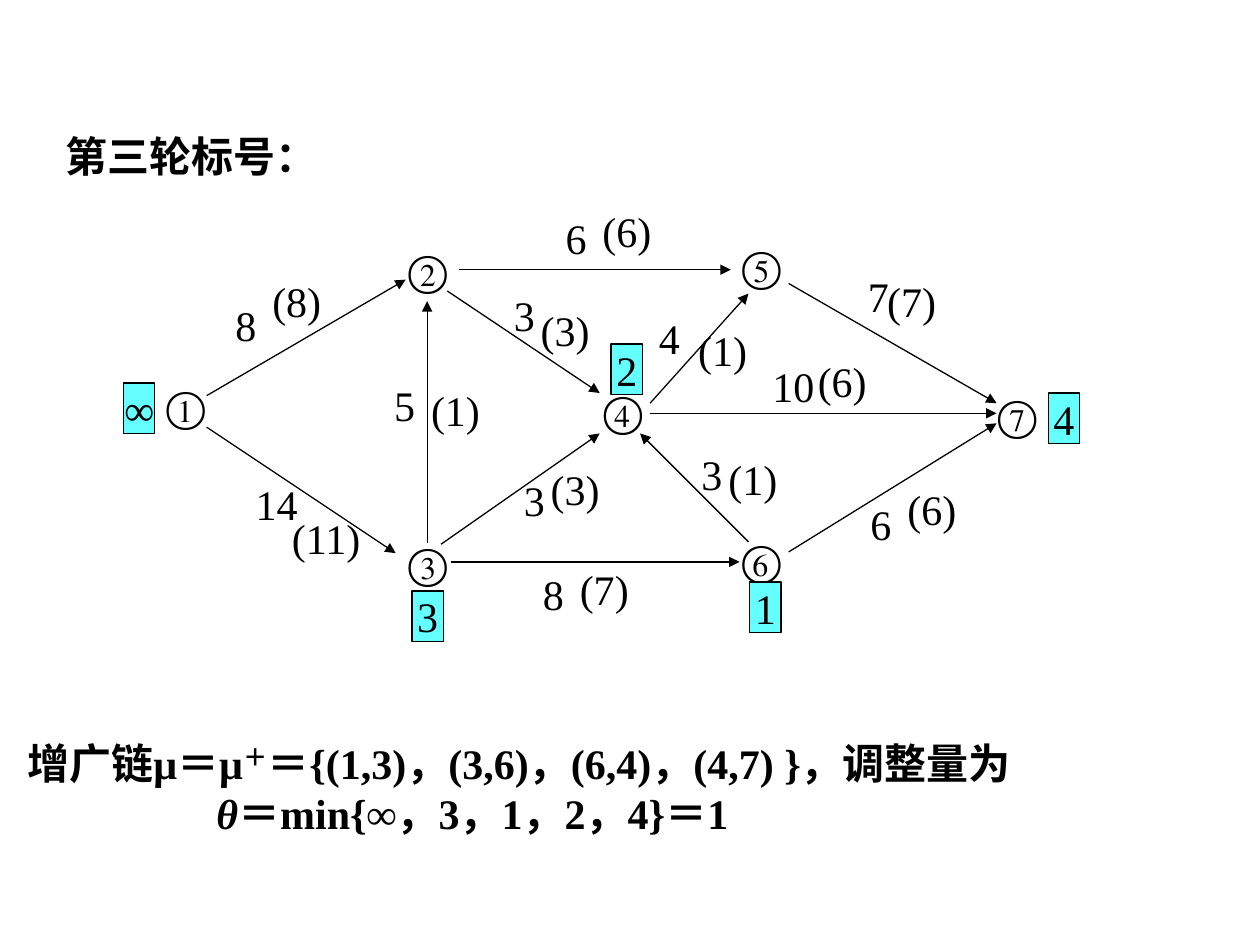
from dataclasses import dataclass

import pptx
import pptx.dml.color
import pptx.enum.shapes
import pptx.enum.text
import pptx.oxml.ns
import pptx.util
from lxml import etree

Pt = pptx.util.Pt
qn = pptx.oxml.ns.qn
LEFT = pptx.enum.text.PP_ALIGN.LEFT
CENTER = pptx.enum.text.PP_ALIGN.CENTER


@dataclass(frozen=True)
class Theme:
    ink: pptx.dml.color.RGBColor = pptx.dml.color.RGBColor(0, 0, 0)
    label_fill: pptx.dml.color.RGBColor = pptx.dml.color.RGBColor(0x66, 0xFF, 0xFF)
    serif: str = "Times New Roman"
    sans: str = "Noto Sans CJK SC"
    size: int = 24
    line: float = 0.75


THEME = Theme()

NODES = [
    ("①", 87.8, 213.8),
    ("②", 226.1, 136.1),
    ("③", 226.1, 303.8),
    ("④", 337.7, 216.7),
    ("⑤", 416.9, 133.9),
    ("⑥", 416.9, 301.7),
]

# start, end, capacity, capacity position, flow, flow position
ARCS = [
    ((118.1, 226.1), (231.8, 159.8), "8", (127.4, 167.8), "(8)", (154.1, 157)),
    ((118.1, 244.1), (226.1, 316.1), "14", (139, 270), "(11)", (164.9, 292.3)),
    ((244.1, 310.3), (244.1, 172.1), "5", (218.2, 213.1), "(1)", (244.8, 218.9)),
    ((262.1, 154.1), (417.6, 154.1), "6", (316.1, 118.1), "(6)", (342.7, 116.6)),
    ((252, 311), (342.7, 247.7), "3", (292.3, 267.8), "(3)", (313.2, 264.2)),
    ((255.6, 166.3), (342.7, 224.6), "3", (286.6, 162), "(3)", (307.4, 173.5)),
    ((450.7, 162), (569.5, 230.4), "7", (488.9, 151.2), "(7)", (505.4, 157)),
    ((450.7, 315.4), (569.5, 241.9), "6", (490.3, 281.5), "(6)", (517, 275.8)),
    ((371.5, 230.4), (427.7, 167.8), "4", (369.4, 175), "(1)", (397.4, 185)),
    ((371.5, 236.2), (569.5, 236.2), "10", (434.2, 202.3), "(6)", (465.8, 202.3)),
    ((427.7, 309.6), (365.8, 247.7), "3", (393.8, 252.7), "(1)", (414.7, 258.5)),
    ((257.8, 321.1), (422.6, 321.1), "8", (303.1, 321.1), "(7)", (329.8, 321.1)),
]

LABELS = [
    ("∞", 70.6, 218.9, 0),
    ("3", 235.4, 337.7, 2.9),
    ("1", 428.4, 332.6, 2.9),
    ("4", 599, 224.6, 2.9),
    ("2", 349.2, 196.6, 2.9),
]


def add_run(paragraph, text, east_asian=THEME.sans, bold=False, italic=False,
            baseline=0):
    run = paragraph.add_run()
    run.text = text
    run.font.size = Pt(THEME.size)
    run.font.name = THEME.serif
    run.font.bold = bold
    run.font.italic = italic
    run.font.color.rgb = THEME.ink
    properties = run.font._element
    properties.find(qn("a:latin")).addnext(
        properties.makeelement(qn("a:ea"), {"typeface": east_asian}))
    if baseline:
        properties.set("baseline", str(baseline * 1000))


def prepare_frame(shape, inset_x, inset_y, align):
    frame = shape.text_frame
    frame.word_wrap = False
    frame.auto_size = pptx.enum.text.MSO_AUTO_SIZE.SHAPE_TO_FIT_TEXT
    frame.vertical_anchor = pptx.enum.text.MSO_ANCHOR.TOP
    frame.margin_left = frame.margin_right = Pt(inset_x)
    frame.margin_top = frame.margin_bottom = Pt(inset_y)
    frame.paragraphs[0].alignment = align
    return frame


def add_text(slide, text, left, top, width, height=36, inset=(7.2, 3.6),
             align=LEFT, **style):
    box = slide.shapes.add_textbox(Pt(left), Pt(top), Pt(width), Pt(height))
    frame = prepare_frame(box, *inset, align)
    add_run(frame.paragraphs[0], text, **style)


def add_arrow(slide, start, end):
    arrow = slide.shapes.add_connector(
        pptx.enum.shapes.MSO_CONNECTOR.STRAIGHT, *map(Pt, start + end))
    arrow.line.color.rgb = THEME.ink
    arrow.line.width = Pt(THEME.line)
    etree.SubElement(arrow.line._get_or_add_ln(), qn("a:tailEnd"), type="triangle")
    etree.SubElement(arrow._element.spPr, qn("a:effectLst"))


def add_arc(slide, start, end, capacity, capacity_at, flow, flow_at):
    add_arrow(slide, start, end)
    add_text(slide, capacity, *capacity_at, 16 + 12 * len(capacity))
    add_text(slide, flow, *flow_at, 12 * len(flow) - 5, 30, (1.4, 0.7), CENTER)


def add_label(slide, text, left, top, inset):
    label = slide.shapes.add_shape(
        pptx.enum.shapes.MSO_SHAPE.RECTANGLE, Pt(left), Pt(top), Pt(17.9), Pt(29))
    label.shadow.inherit = False
    label.fill.solid()
    label.fill.fore_color.rgb = THEME.label_fill
    label.line.color.rgb = THEME.ink
    label.line.width = Pt(THEME.line)
    frame = prepare_frame(label, inset, 0, CENTER)
    add_run(frame.paragraphs[0], text)


def add_conclusion(slide):
    box = slide.shapes.add_textbox(Pt(8.6), Pt(417.6), Pt(670), Pt(65))
    frame = prepare_frame(box, 7.2, 3.6, LEFT)
    frame.vertical_anchor = pptx.enum.text.MSO_ANCHOR.MIDDLE
    chain = frame.paragraphs[0]
    add_run(chain, "增广链μ＝μ", bold=True)
    add_run(chain, "＋", bold=True, baseline=30)
    add_run(chain, "＝{(1,3)，(3,6)，(6,4)，(4,7) }，调整量为", bold=True)
    amount = frame.add_paragraph()
    amount.alignment = LEFT
    amount._p.get_or_add_pPr().set("marL", str(Pt(108)))
    add_run(amount, "θ", bold=True, italic=True)
    add_run(amount, "＝min{∞，3，1，2，4}＝1", bold=True)


def main():
    presentation = pptx.Presentation()
    presentation.slide_width = Pt(720)
    presentation.slide_height = Pt(540)
    slide = presentation.slides.add_slide(presentation.slide_layouts[6])
    add_text(slide, "第三轮标号：", 30.2, 71.3, 160, bold=True)
    for text, left, top in NODES:
        add_text(slide, text, left, top, 38.4, east_asian=THEME.serif)
    add_text(slide, "⑦", 562.3, 218.9, 38, align=CENTER)
    for arc in ARCS:
        add_arc(slide, *arc)
    for label in LABELS:
        add_label(slide, *label)
    add_conclusion(slide)
    presentation.save("out.pptx")


if __name__ == "__main__":
    main()
